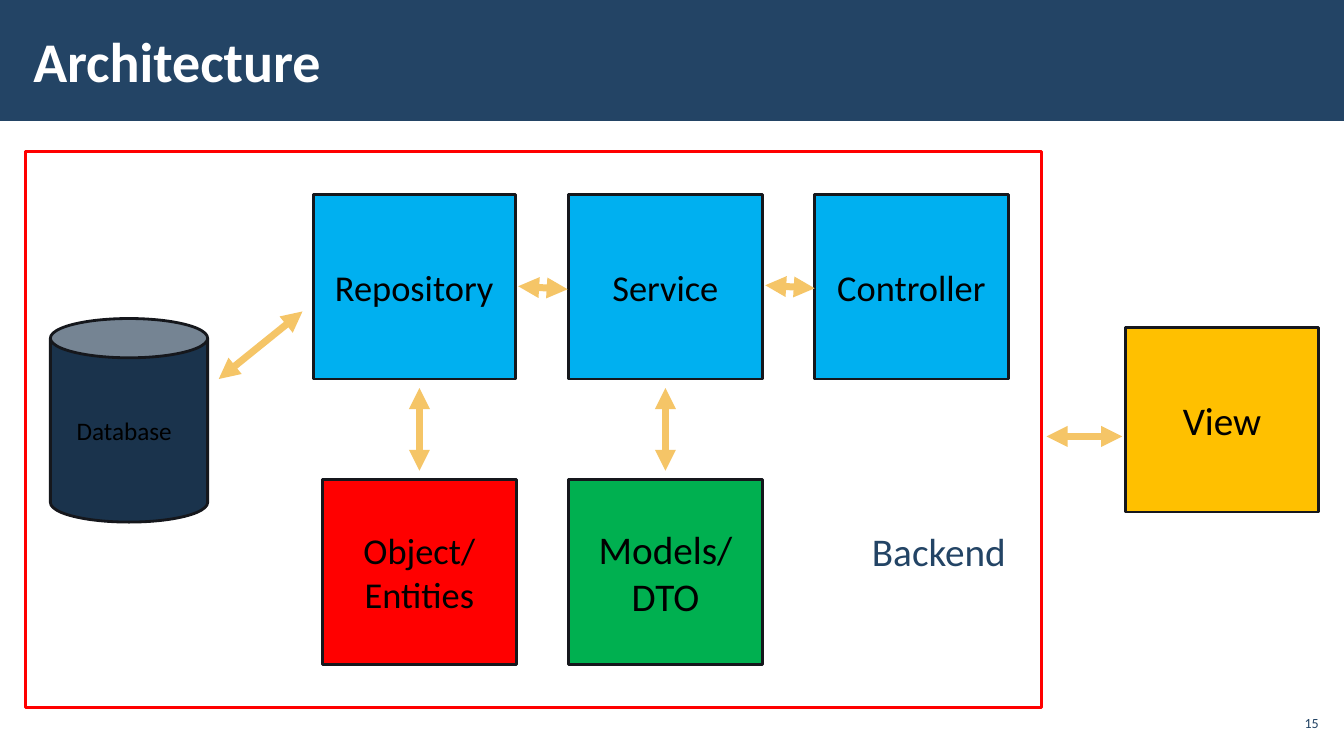
from lxml import etree
from pptx import Presentation
from pptx.dml.color import RGBColor
from pptx.enum.shapes import MSO_CONNECTOR, MSO_SHAPE
from pptx.enum.text import MSO_ANCHOR, PP_ALIGN
from pptx.oxml.ns import qn
from pptx.util import Inches, Pt

RECTANGLE, CAN = MSO_SHAPE.RECTANGLE, MSO_SHAPE.CAN
STRAIGHT = MSO_CONNECTOR.STRAIGHT
TOP, MIDDLE = MSO_ANCHOR.TOP, MSO_ANCHOR.MIDDLE
LEFT, CENTER, RIGHT = PP_ALIGN.LEFT, PP_ALIGN.CENTER, PP_ALIGN.RIGHT

NAVY, INK, BLACK, WHITE = "234465", "15171C", "000000", "FFFFFF"
BLUE, RED, GREEN, AMBER = "00B0F0", "FF0000", "00B050", "FFC000"
ARROW_GOLD, DATABASE_NAVY = "F5C567", "1A334C"

BOX_WIDTH, BOX_HEIGHT = 1.92, 1.83
LAYER_TOP, DATA_TOP = 1.93, 4.76
SERVICE_LEFT = 5.64

COMPONENTS = [
    ("Repository", 3.11, LAYER_TOP, 2, BLUE, 26),
    ("Service", SERVICE_LEFT, LAYER_TOP, BOX_WIDTH, BLUE, 26),
    ("Controller", 8.08, LAYER_TOP, BOX_WIDTH, BLUE, 26),
    ("Object/\nEntities", 3.2, DATA_TOP, BOX_WIDTH, RED, 26),
    ("Models/\vDTO", SERVICE_LEFT, DATA_TOP, BOX_WIDTH, GREEN, 28),
    ("View", 11.16, 3.25, BOX_WIDTH, AMBER, 28),
]

LINKS = [
    ((2.17, 3.76), (3, 3.09)),
    ((4.16, 4.67), (4.16, 3.85)),
    ((6.6, 4.67), (6.6, 3.85)),
    ((5.14, 2.84), (5.63, 2.87)),
    ((7.59, 2.83), (8.08, 2.86)),
    ((10.38, 4.33), (11.13, 4.33)),
]


def rgb(value):
    """Return the colour for a hex string."""
    return RGBColor.from_string(value)


def write_text(holder, text, size, color=BLACK, bold=False, align=LEFT,
               anchor=MIDDLE, insets=(0.1, 0.05, 0.1, 0.05)):
    """Fill a shape's text frame with formatted text."""
    frame = holder.text_frame
    frame.word_wrap = True
    frame.vertical_anchor = anchor
    (frame.margin_left, frame.margin_top,
     frame.margin_right, frame.margin_bottom) = map(Inches, insets)
    frame.text = text
    for paragraph in frame.paragraphs:
        paragraph.alignment = align
        for run in paragraph.runs:
            run.font.name = "Calibri"
            run.font.size = Pt(size)
            run.font.bold = bold
            run.font.color.rgb = rgb(color)


def add_block(slide, kind, bounds, fill=None, outline=None):
    """Add a preset shape with an optional fill and outline."""
    block = slide.shapes.add_shape(kind, *map(Inches, bounds))
    block.shadow.inherit = False
    if fill:
        block.fill.solid()
        block.fill.fore_color.rgb = rgb(fill)
    else:
        block.fill.background()
    if outline:
        block.line.color.rgb = rgb(outline)
        block.line.width = Pt(2)
    else:
        block.line.fill.background()
    return block


def add_label(slide, bounds, text, size, **text_format):
    """Add a text box holding a label."""
    label = slide.shapes.add_textbox(*map(Inches, bounds))
    write_text(label, text, size, **text_format)


def add_link(slide, start, end):
    """Add a double-headed arrow between two points."""
    link = slide.shapes.add_connector(STRAIGHT, *map(Inches, start + end))
    link.line.color.rgb = rgb(ARROW_GOLD)
    link.line.width = Pt(5)
    line_xml = link.line._get_or_add_ln()
    for arrowhead in ("a:headEnd", "a:tailEnd"):
        etree.SubElement(line_xml, qn(arrowhead), type="triangle")
    etree.SubElement(link._element.spPr, qn("a:effectLst"))


def add_header(slide):
    """Place the title on a navy band."""
    title = slide.shapes.title
    title.left, title.top, title.width, title.height = map(
        Inches, (0.21, 0.11, 10.4, 0.97))
    write_text(title, "Architecture", 40, color=WHITE, bold=True,
               insets=(0.12, 0.04, 0.12, 0.04))
    band = add_block(slide, RECTANGLE, (0, 0, 13.33, 1.2), fill=NAVY)
    title._element.addprevious(band._element)


def main():
    """Build the architecture slide."""
    deck = Presentation()
    deck.slide_width, deck.slide_height = Inches(13.33), Inches(7.5)
    slide = deck.slides.add_slide(deck.slide_layouts[5])
    add_header(slide)
    add_label(slide, (12.65, 7, 0.47, 0.34), "15", 10, color=NAVY,
              align=RIGHT, insets=(0.04,) * 4)
    add_block(slide, RECTANGLE, (0.25, 1.5, 10.08, 5.52), outline=RED)

    database = add_block(slide, CAN, (0.5, 3.16, 1.56, 2.02),
                         fill=DATABASE_NAVY, outline=INK)
    write_text(database, "Database", 18, insets=(0.26, 0.05, 0.1, 0.05))

    for name, left, top, width, fill, size in COMPONENTS:
        component = add_block(slide, RECTANGLE, (left, top, width, BOX_HEIGHT),
                              fill=fill, outline=INK)
        write_text(component, name, size, align=CENTER)
    for start, end in LINKS:
        add_link(slide, start, end)

    add_label(slide, (8.55, 5.18, 1.54, 0.57), "Backend", 28, color=NAVY,
              anchor=TOP)
    deck.save("out.pptx")


if __name__ == "__main__":
    main()
